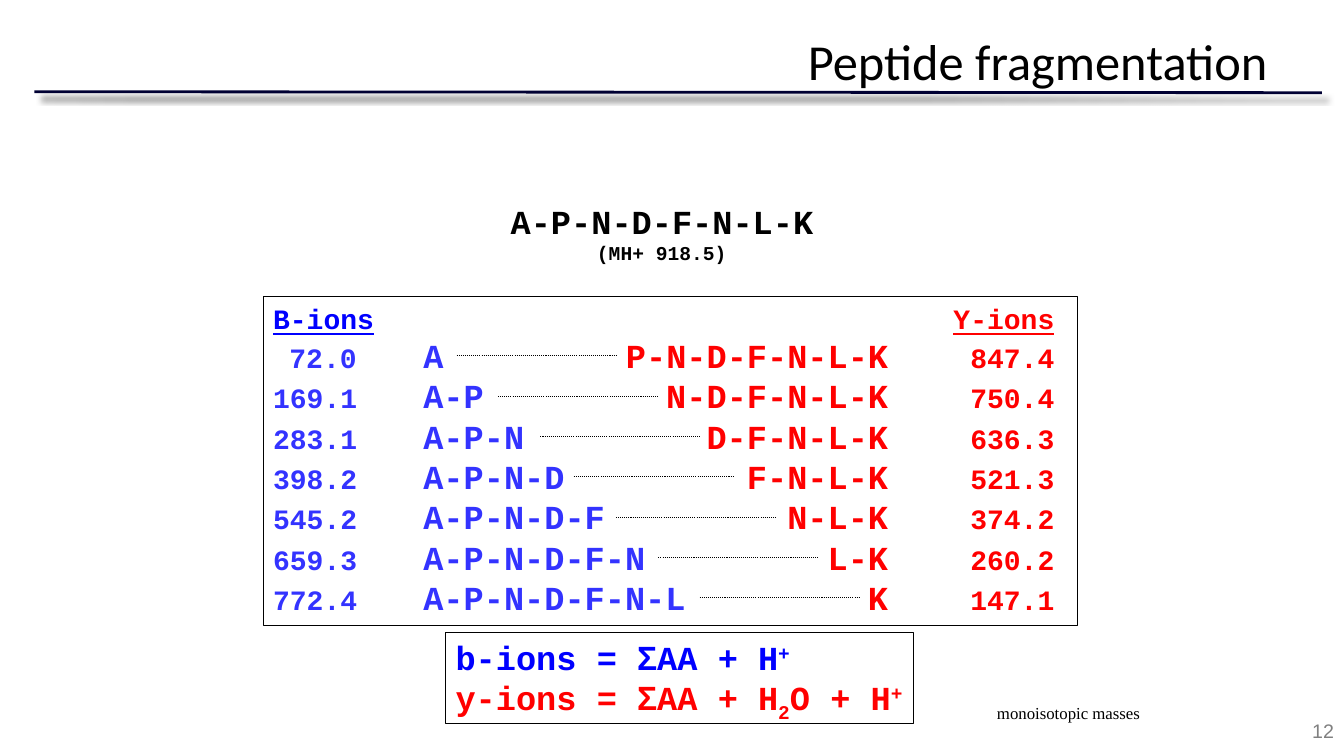
from lxml import etree
from pptx import Presentation
from pptx.dml.color import RGBColor
from pptx.enum import dml, shapes, text
from pptx.oxml import ns
from pptx.util import Inches, Pt

HUES = {
    "black": "000000", "white": "FFFFFF", "navy": "000033", "gray": "808080",
    "blue": "0000FF", "pale": "3333FF", "red": "FF0000",
}
MONO = "Courier New"
CHAIN = "A-P-N-D-F-N-L-K"
MASSES = [
    ("72.0", "847.4"), ("169.1", "750.4"), ("283.1", "636.3"), ("398.2", "521.3"),
    ("545.2", "374.2"), ("659.3", "260.2"), ("772.4", "147.1"),
]
DOTS = [4.53, 4.94, 5.36, 5.69, 6.11, 6.53, 6.94]
TABS = [(0.83, "r"), (1.49, "l"), (6.1, "r"), (7.75, "r")]
LEFT, CENTER, RIGHT = text.PP_ALIGN.LEFT, text.PP_ALIGN.CENTER, text.PP_ALIGN.RIGHT


def hue(name):
    return RGBColor.from_string(HUES[name])


def node(parent, tag, **attrs):
    item = etree.SubElement(parent, ns.qn(tag))
    for key, value in attrs.items():
        item.set(key, str(value))
    return item


def style(font, size=None, name=None, color=None, bold=None):
    if size:
        font.size = Pt(size)
    if name:
        font.name = name
    if color:
        font.color.rgb = hue(color)
    if bold is not None:
        font.bold = bold


def add_box(slide, at, wrap=True, framed=False):
    spot = [Inches(n) for n in at]
    if framed:
        box = slide.shapes.add_shape(shapes.MSO_SHAPE.RECTANGLE, *spot)
        box.shadow.inherit = False
        box.fill.solid()
        box.fill.fore_color.rgb = hue("white")
        box.line.color.rgb = hue("black")
        box.line.width = Pt(0.75)
    else:
        box = slide.shapes.add_textbox(*spot)
    frame = box.text_frame
    frame.word_wrap = wrap
    frame.vertical_anchor = text.MSO_ANCHOR.TOP
    return frame


def add_para(frame, first=False, align=LEFT, **look):
    para = frame.paragraphs[0] if first else frame.add_paragraph()
    para.alignment = align
    style(para.font, **look)
    return para


def add_run(para, words, base=0, under=False, **look):
    run = para.add_run()
    run.text = words
    style(run.font, **look)
    if under:
        run.font.underline = True
    if base:
        run.font._element.set("baseline", str(base * 1000))


def add_label(slide, at, words, align=LEFT, wrap=True, **look):
    frame = add_box(slide, at, wrap)
    add_para(frame, True, align, **look).text = words
    return frame


def add_line(slide, start, end, color, width, dash=None):
    ends = [Inches(n) for n in (*start, *end)]
    line = slide.shapes.add_connector(shapes.MSO_CONNECTOR.STRAIGHT, *ends)
    line.line.color.rgb = hue(color)
    line.line.width = Pt(width)
    if dash:
        line.line.dash_style = dash
    return node(line._element.spPr, "a:effectLst")


def add_shade(effects):
    shade = node(effects, "a:outerShdw", blurRad=Pt(4), dist=Pt(6),
                 dir=45 * 60000, algn="tl", rotWithShape=0)
    tint = node(shade, "a:srgbClr", val=HUES["black"])
    node(tint, "a:alpha", val=50000)


def set_tabs(para, stops):
    tabs = node(para._p.get_or_add_pPr(), "a:tabLst")
    for pos, side in stops:
        node(tabs, "a:tab", pos=Inches(pos), algn=side)


def add_ions(slide):
    frame = add_box(slide, (2.61, 2.94, 8.08, 3.27), framed=True)
    head = add_para(frame, True, size=20, name=MONO, bold=True)
    add_run(head, "B-ions", under=True, color="blue")
    add_run(head, "\t")
    add_run(head, "Y-ions", under=True, color="red")
    set_tabs(head, TABS[-1:])
    for i, (b_mass, y_mass) in enumerate(MASSES):
        para = add_para(frame, size=20, name=MONO, bold=True)
        cut = 2 * i + 1
        add_run(para, f"\t{b_mass}\t", color="pale")
        add_run(para, CHAIN[:cut], color="pale", size=24)
        add_run(para, "\t" + CHAIN[cut + 1:], color="red", size=24)
        add_run(para, f"\t{y_mass}", color="red")
        set_tabs(para, TABS)
    for i, left in enumerate(DOTS):
        top = 3.53 + 0.4 * i
        add_line(slide, (left, top), (left + 1.58, top), "black", 0.75,
                 dml.MSO_LINE.ROUND_DOT)


def add_sums(slide):
    frame = add_box(slide, (4.42, 6.27, 4.64, 0.91), False, True)
    rows = [
        ("b-ions", "blue", [("AA + H", 0), ("+", 30)]),
        ("y-ions", "red", [("AA + H", 0), ("2", -25), ("O + H", 0), ("+", 30)]),
    ]
    for i, (ion, color, parts) in enumerate(rows):
        para = add_para(frame, i == 0, size=24, color=color, bold=True)
        add_run(para, f"{ion} = ", name=MONO)
        add_run(para, "Σ", name="Arial")
        for words, base in parts:
            add_run(para, words, base, name=MONO)


def main():
    deck = Presentation()
    deck.slide_width, deck.slide_height = Inches(13.33), Inches(7.5)
    slide = deck.slides.add_slide(deck.slide_layouts[6])
    add_shade(add_line(slide, (0.34, 0.91), (13.11, 0.92), "navy", 2))
    add_label(slide, (0.67, 0.25, 12, 1.25), "Peptide fragmentation", RIGHT,
              size=36, name="Calibri", color="black")
    add_label(slide, (11.08, 7.08, 2.25, 0.42), "12", RIGHT,
              size=14, name="Arial", color="gray")
    frame = add_label(slide, (4.95, 1.94, 3.23, 0.74), CHAIN, CENTER, False,
                      size=24, name=MONO, color="black", bold=True)
    add_para(frame, align=CENTER, size=14, name=MONO, color="black",
             bold=True).text = "(MH+ 918.5)"
    add_ions(slide)
    add_label(slide, (9.79, 6.92, 1.64, 0.3), "monoisotopic masses", wrap=False,
              size=12, name="Times New Roman", color="black")
    add_sums(slide)
    deck.save("out.pptx")


if __name__ == "__main__":
    main()
